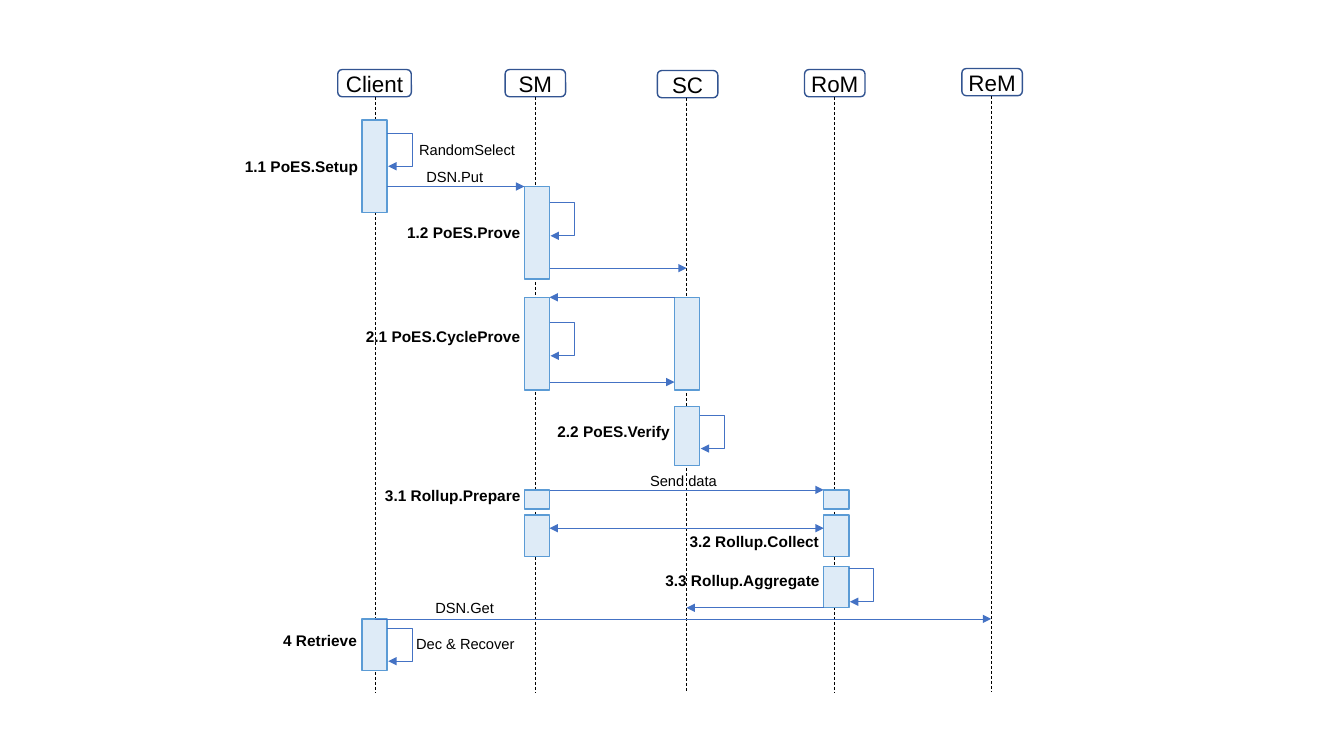
from collections import namedtuple

from lxml import etree
from pptx import Presentation
from pptx import util as u
from pptx.dml.color import RGBColor
from pptx.enum import dml, shapes, text
from pptx.oxml.ns import qn

# The slide is ruled in square cells; every position counts columns and rows.
CELL = u.Inches(0.1)
FONT = "Arial"
BAR_WIDTH = 2.5
HEAD_HEIGHT = 2.7
LIFELINE_END = 68.7
LOOP_WIDTH, LOOP_HEIGHT, LOOP_RETURN = 2.5, 3.3, 0.1

COLORS = {
    "head": "325491",
    "text": "000000",
    "lifeline": "000000",
    "arrow": "4472C4",
    "bar": "DEEBF7",
    "bar_line": "5B9BD5",
}

Lane = namedtuple("Lane", "center left head_left head_top head_width")
LANES = {
    "Client": Lane(37.2, 35.9, 33.5, 6.9, 7.3),
    "SM": Lane(53.1, 52, 50.1, 6.9, 6),
    "SC": Lane(68.1, 66.9, 65.2, 7, 6),
    "RoM": Lane(82.8, 81.7, 79.8, 6.9, 6),
    "ReM": Lane(98.3, 97, 95.4, 6.8, 6),
}

# lane, top row, height
BARS = [
    ("Client", 11.9, 9.2), ("SM", 18.5, 9.2),
    ("SC", 29.5, 9.2), ("SM", 29.5, 9.2),
    ("SC", 40.3, 5.9),
    ("SM", 48.6, 1.9), ("RoM", 48.6, 1.9),
    ("SM", 51.1, 4.1), ("RoM", 51.1, 4.1),
    ("RoM", 56.2, 4.1), ("Client", 61.4, 5.1),
]

# row, sender and its side, receiver and its side, arrowhead at both ends
MESSAGES = [
    (18.5, "Client", "right", "SM", "left", False),
    (26.6, "SM", "right", "SC", "center", False),
    (29.5, "SC", "left", "SM", "right", False),
    (37.9, "SM", "right", "SC", "left", False),
    (48.6, "SM", "right", "RoM", "left", False),
    (52.4, "SM", "right", "RoM", "left", True),
    (60.3, "RoM", "left", "SC", "center", False),
    (61.4, "Client", "center", "ReM", "center", False),
]

LOOPS = [("Client", 13.2), ("SM", 20.1), ("SM", 32), ("SC", 41.2),
         ("RoM", 56.4), ("Client", 62.3)]

# wording, left column, top row, width
STEPS = [
    ("1.1 PoES.Setup", 23.3, 15.1, 13.3),
    ("1.2 PoES.Prove", 39.4, 21.6, 13.3),
    ("2.1 PoES.CycleProve", 35.3, 32, 17.5),
    ("2.2 PoES.Verify", 54.3, 41.4, 13.3),
    ("3.1 Rollup.Prepare", 37.2, 47.7, 15.6),
    ("3.2 Rollup.Collect", 67.4, 52.3, 14.9),
    ("3.3 Rollup.Aggregate", 65, 56.2, 17.4),
    ("4 Retrieve", 27.1, 62.1, 9.4),
]
NOTES = [
    ("RandomSelect", 40.6, 13.5, 11.7),
    ("DSN.Put", 41.3, 16.2, 7.8),
    ("Send data", 63.5, 46.3, 8.8),
    ("DSN.Get", 42.2, 58.9, 7.9),
    ("Dec & Recover", 40.3, 62.5, 11.9),
]


def cells(*counts):
    return [round(n * CELL) for n in counts]


def color(name):
    return RGBColor.from_string(COLORS[name])


def edge(lane, side):
    """Column of the left, center or right of a lane's bar."""
    if side == "right":
        return LANES[lane].left + BAR_WIDTH
    return getattr(LANES[lane], side)


def write(sp, words, size, bold=False):
    tf = sp.text_frame
    tf.word_wrap = False
    p = tf.paragraphs[0]
    p.text = words
    p.font.name, p.font.size, p.font.bold = FONT, u.Pt(size), bold
    p.font.color.rgb = color("text")
    return tf


def add_label(slide, words, left, top, width, size, bold=False):
    sp = slide.shapes.add_textbox(*cells(left, top, width, 2.9))
    tf = write(sp, words, size, bold)
    tf.auto_size = text.MSO_AUTO_SIZE.SHAPE_TO_FIT_TEXT


def add_box(slide, kind, bounds, line, fill=None):
    sp = slide.shapes.add_shape(kind, *cells(*bounds))
    sp.shadow.inherit = False
    if fill:
        sp.fill.solid()
        sp.fill.fore_color.rgb = color(fill)
    else:
        sp.fill.background()
    sp.line.color.rgb = color(line)
    sp.line.width = u.Pt(1)
    return sp


def add_line(slide, start, end, line, heads=(), kind=shapes.MSO_CONNECTOR.STRAIGHT):
    """Thin line; heads names the ends ("headEnd", "tailEnd") with a triangle."""
    sp = slide.shapes.add_connector(kind, *cells(*start, *end))
    sp.line.color.rgb = color(line)
    sp.line.width = u.Pt(0.5)
    for tag in heads:
        etree.SubElement(sp.line._get_or_add_ln(), qn("a:" + tag), type="triangle")
    etree.SubElement(sp._element.spPr, qn("a:effectLst"))
    return sp


def add_lane(slide, name, lane):
    head = add_box(slide, shapes.MSO_SHAPE.ROUNDED_RECTANGLE,
                   (lane.head_left, lane.head_top, lane.head_width, HEAD_HEIGHT), "head")
    tf = write(head, name, 16)
    tf.margin_left = tf.margin_right = tf.margin_top = tf.margin_bottom = 0
    tf.vertical_anchor = text.MSO_ANCHOR.MIDDLE
    tf.paragraphs[0].alignment = text.PP_ALIGN.CENTER
    lifeline = add_line(slide, (lane.center, lane.head_top + HEAD_HEIGHT),
                        (lane.center, LIFELINE_END), "lifeline")
    lifeline.line.dash_style = dml.MSO_LINE.DASH


def add_loop(slide, lane, row):
    """Arrow from a bar back to itself, bulging to the right."""
    col = edge(lane, "right")
    sp = add_line(slide, (col, row), (col + LOOP_RETURN, row + LOOP_HEIGHT),
                  "arrow", ["tailEnd"], shapes.MSO_CONNECTOR.ELBOW)
    guides = sp._element.spPr.find(qn("a:prstGeom")).find(qn("a:avLst"))
    bulge = round(LOOP_WIDTH / LOOP_RETURN * 100000)
    etree.SubElement(guides, qn("a:gd"), name="adj1", fmla=f"val {bulge}")


def main():
    prs = Presentation()
    prs.slide_width, prs.slide_height = u.Inches(13.33), u.Inches(7.5)
    slide = prs.slides.add_slide(prs.slide_layouts[6])

    for name, lane in LANES.items():
        add_lane(slide, name, lane)
    for lane, top, height in BARS:
        add_box(slide, shapes.MSO_SHAPE.RECTANGLE,
                (LANES[lane].left, top, BAR_WIDTH, height), "bar_line", "bar")
    for row, sender, out_side, receiver, in_side, both in MESSAGES:
        heads = ["headEnd", "tailEnd"] if both else ["tailEnd"]
        add_line(slide, (edge(sender, out_side), row),
                 (edge(receiver, in_side), row), "arrow", heads)
    for lane, row in LOOPS:
        add_loop(slide, lane, row)
    for step in STEPS:
        add_label(slide, *step, size=11, bold=True)
    for note in NOTES:
        add_label(slide, *note, size=10.5)

    prs.save("out.pptx")


if __name__ == "__main__":
    main()
